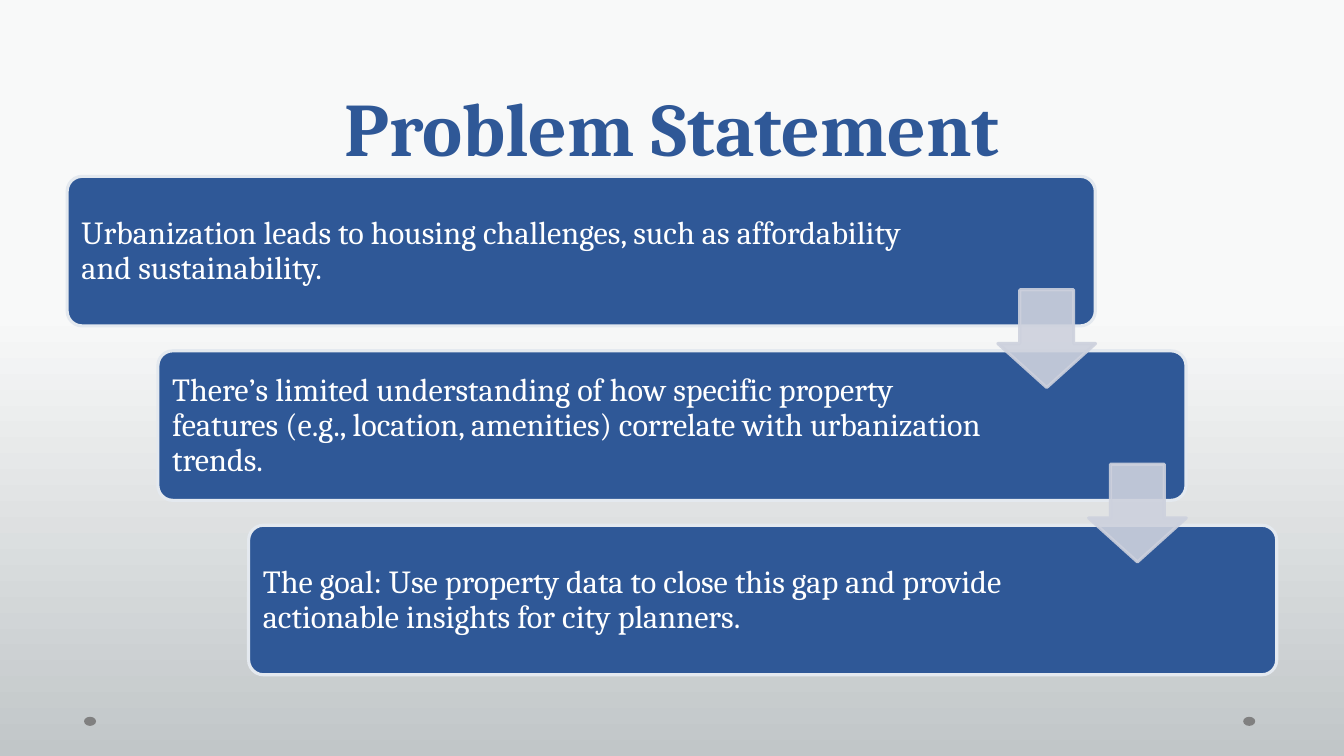
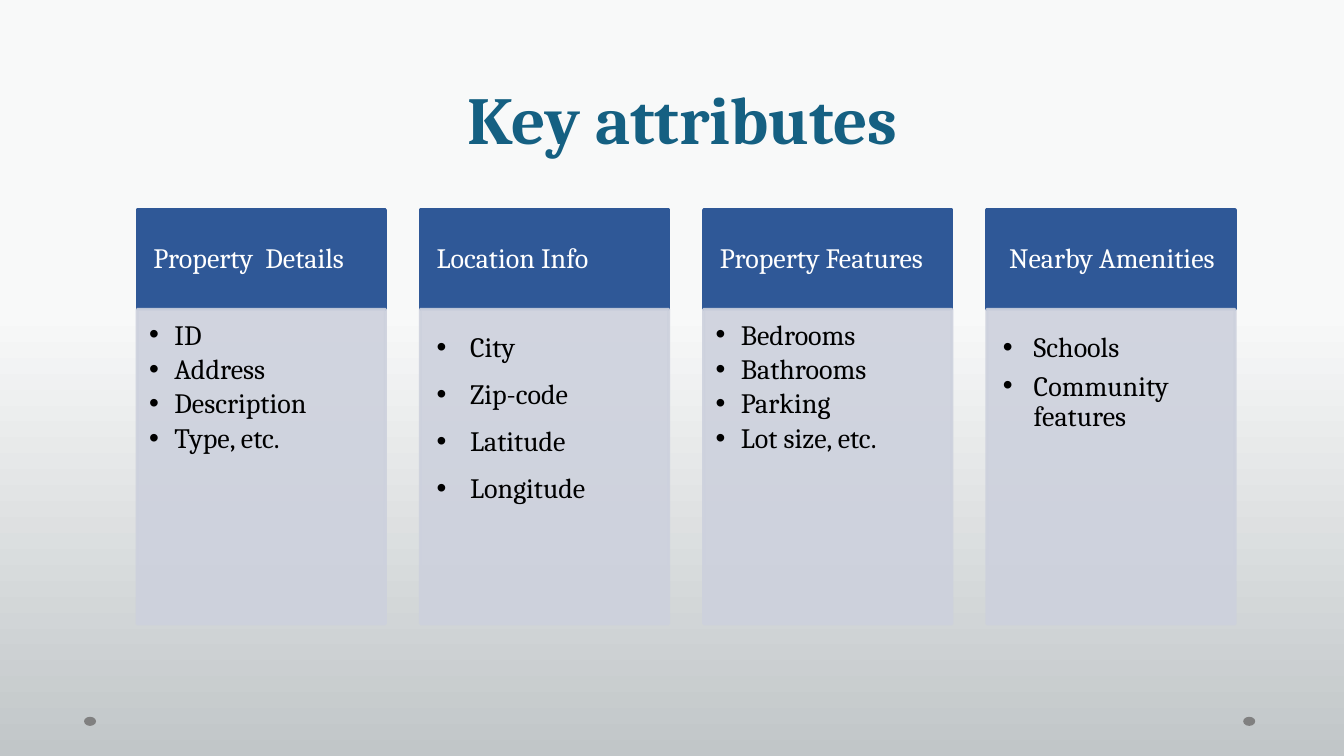
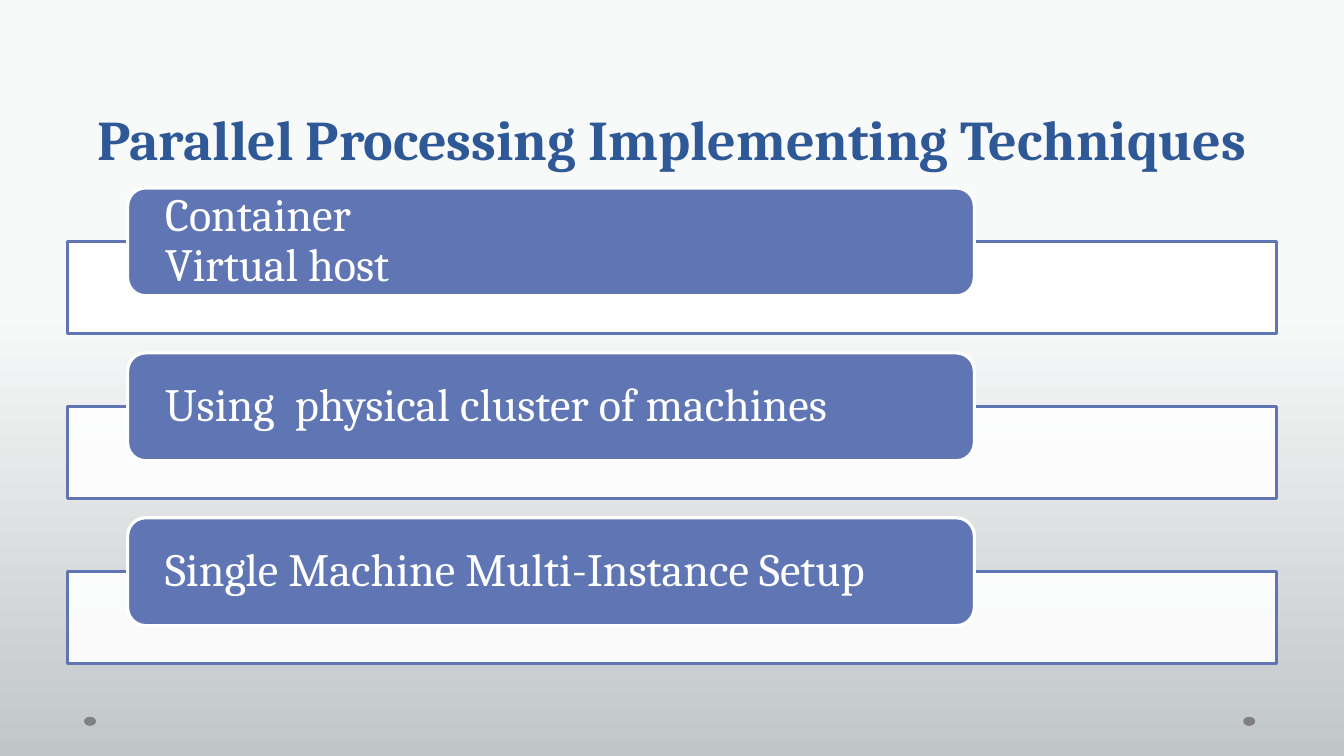
"""Build three slides on urban property data: problem, attributes and techniques."""
from lxml import etree
from pptx import Presentation
from pptx import util as u
from pptx.dml.color import RGBColor
from pptx.enum import shapes, text
from pptx.oxml import ns

Pt = u.Pt
FONT = "Cambria"
NAVY = RGBColor(0x2F, 0x58, 0x97)
TEAL = RGBColor(0x15, 0x60, 0x82)
PERIWINKLE = RGBColor(0x60, 0x76, 0xB4)
LAVENDER = RGBColor(0xCD, 0xD1, 0xDD)
MIST = RGBColor(0xE4, 0xE9, 0xEF)
GRAY = RGBColor(0x80, 0x80, 0x80)
WHITE = RGBColor(0xFF, 0xFF, 0xFF)
BLACK = RGBColor(0, 0, 0)
BACKDROP = [(0.41, RGBColor(0xF8, 0xF9, 0xF9)), (1, RGBColor(0xC1, 0xC6, 0xC8))]

RECT = shapes.MSO_SHAPE.RECTANGLE
ROUNDED = shapes.MSO_SHAPE.ROUNDED_RECTANGLE
ARROW = shapes.MSO_SHAPE.DOWN_ARROW
OVAL = shapes.MSO_SHAPE.OVAL
MIDDLE = text.MSO_ANCHOR.MIDDLE
TOP = text.MSO_ANCHOR.TOP

WIDE_TITLE = (48, 0, 864, 126)
NARROW_TITLE = (83.5, 10.8, 808, 105.5)

PROBLEMS = [
    ("Urbanization leads to housing challenges, such as affordability and sustainability.", 117),
    ("There’s limited understanding of how specific property features "
     "(e.g., location, amenities) correlate with urbanization trends.", 142),
    ("The goal: Use property data to close this gap and provide actionable insights "
     "for city planners.", 142),
]
COMPACT = {"insets": (8.6, 8.2, 11.5, 12), "indent": 18, "after": 3}
AIRY = {"insets": (11.5, 17, 11.5, 12), "indent": 24, "after": 12}
LOOSE = {"insets": (11.5, 17, 11.5, 12), "indent": 22, "after": 6}
ATTRIBUTES = [
    ("Property  Details", 11.5, ["ID", "Address", "Description", "Type, etc."], COMPACT),
    ("Location Info", 11.5, ["City", "Zip-code", "Latitude", "Longitude"], AIRY),
    ("Property Features", 11.5, ["Bedrooms", "Bathrooms", "Parking", "Lot size, etc."], COMPACT),
    ("Nearby Amenities", 16, ["Schools", "Community features"], LOOSE),
]
TECHNIQUES = [
    "Container\vVirtual host",
    "Using  physical cluster of machines",
    "Single Machine Multi-Instance Setup",
]


def assign(target, **values):
    for name, value in values.items():
        setattr(target, name, value)


def add_block(page, kind, place, fill, line=None, opacity=100, adjust=()):
    block = page.shapes.add_shape(kind, *map(Pt, place))
    block.shadow.inherit = False
    for index, value in enumerate(adjust):
        block.adjustments[index] = value
    block.fill.solid()
    block.fill.fore_color.rgb = fill
    if line is None:
        block.line.fill.background()
    else:
        block.line.color.rgb = line
        block.line.width = Pt(2.25)
    if opacity < 100:
        for colour in block._element.spPr.iter(ns.qn("a:srgbClr")):
            if colour.get("val") == str(fill):
                etree.SubElement(colour, ns.qn("a:alpha")).set("val", str(opacity * 1000))
    return block


def add_bullet(para, indent):
    properties = para._p.get_or_add_pPr()
    properties.set("marL", str(Pt(indent)))
    properties.set("indent", str(-Pt(indent)))
    etree.SubElement(properties, ns.qn("a:buFont")).set("typeface", "Arial")
    etree.SubElement(properties, ns.qn("a:buChar")).set("char", "•")


def write(box, lines, size, colour, insets, anchor=MIDDLE, align=text.PP_ALIGN.LEFT,
          spacing=0.9, after=0, indent=0, bold=False):
    frame = box.text_frame
    sides = ("margin_left", "margin_top", "margin_right", "margin_bottom")
    assign(frame, word_wrap=True, vertical_anchor=anchor,
           **dict(zip(sides, map(Pt, insets))))
    for index, line in enumerate(lines):
        para = frame.paragraphs[0] if index == 0 else frame.add_paragraph()
        para.text = line
        assign(para, alignment=align, line_spacing=spacing, space_after=Pt(after))
        if indent:
            add_bullet(para, indent)
        for span in para.runs:
            assign(span.font, name=FONT, size=Pt(size), bold=bold)
            span.font.color.rgb = colour


def add_page(deck, title, place, size, colour):
    page = deck.slides.add_slide(deck.slide_layouts[6])
    for left in (888, 60):
        add_block(page, OVAL, (left, 512, 8.6, 6.5), GRAY)
    box = page.shapes.add_textbox(*map(Pt, place))
    write(box, [title], size, colour, (7.2, 3.6, 7.2, 3.6), text.MSO_ANCHOR.BOTTOM,
          text.PP_ALIGN.CENTER, Pt(58), bold=True)
    return page


def set_backdrop(deck):
    fill = deck.slide_master.background.fill
    fill.gradient()
    fill.gradient_angle = 270
    for stop, (position, colour) in zip(fill.gradient_stops, BACKDROP):
        stop.position = position
        stop.color.rgb = colour


def build_problem(deck):
    page = add_page(deck, "Problem Statement", WIDE_TITLE, 54, NAVY)
    step_x, step_y = 64.8, 124.6
    for index, (statement, right) in enumerate(PROBLEMS):
        place = (48 + index * step_x, 126 + index * step_y, 734.4, 106.8)
        box = add_block(page, ROUNDED, place, NAVY, MIST, adjust=[0.1])
        write(box, [statement], 23, WHITE, (7.2, 7.2, right, 6.4))
    for index in range(len(PROBLEMS) - 1):
        place = (712.8 + index * step_x, 207 + index * step_y, 69.8, 69.8)
        add_block(page, ARROW, place, LAVENDER, LAVENDER, 90, [0.55, 0.45])


def build_attributes(deck):
    page = add_page(deck, "Key attributes", NARROW_TITLE, 48, TEAL)
    width, pitch = 177.3, 202.3
    for index, (heading, left_inset, items, style) in enumerate(ATTRIBUTES):
        left = 98 + index * pitch
        head = add_block(page, RECT, (left, 150, width, 71), NAVY, NAVY)
        write(head, [heading], 20, WHITE, (left_inset, 6.5, 6, 6.5))
        body = add_block(page, RECT, (left, 221, width, 224.6), LAVENDER, LAVENDER, 90)
        write(body, items, 20, BLACK, anchor=TOP, **style)


def build_techniques(deck):
    page = add_page(deck, "Parallel Processing Implementing Techniques", WIDE_TITLE, 40, NAVY)
    for index, technique in enumerate(TECHNIQUES):
        drop = index * 117.8
        add_block(page, RECT, (48, 172.8 + drop, 864, 65.5), WHITE, PERIWINKLE, 90)
        label = add_block(page, ROUNDED, (91.2, 134.3 + drop, 604.8, 77), PERIWINKLE, WHITE)
        write(label, [technique], 33, WHITE, (23, 0, 23, 0))


def main():
    deck = Presentation()
    assign(deck, slide_width=Pt(960), slide_height=Pt(540))
    set_backdrop(deck)
    build_problem(deck)
    build_attributes(deck)
    build_techniques(deck)
    deck.save("out.pptx")


if __name__ == "__main__":
    main()
